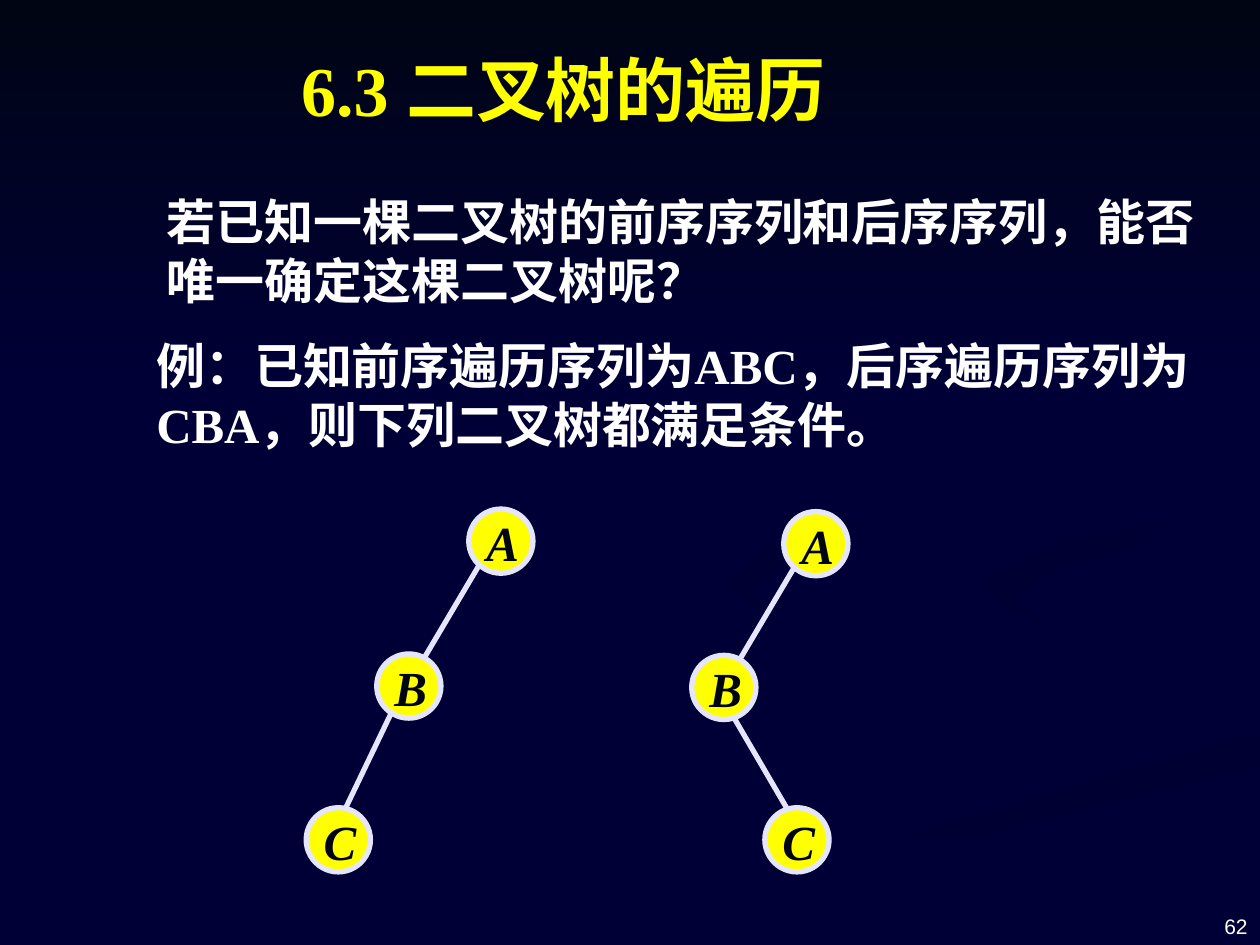
"""Build the slide on binary trees that share pre-order and post-order sequences."""
import pptx
import pptx.util
import pptx.oxml.ns
from lxml import etree
from pptx.dml.color import RGBColor
from pptx.enum.shapes import MSO_CONNECTOR, MSO_SHAPE
from pptx.enum.text import MSO_ANCHOR, PP_ALIGN

Pt = pptx.util.Pt

NAVY = RGBColor(0x00, 0x00, 0x36)
DARK_NAVY = RGBColor(0x00, 0x00, 0x32)
INK = RGBColor(0x00, 0x05, 0x14)
YELLOW = RGBColor(0xFF, 0xFF, 0x00)
LAVENDER = RGBColor(0xE5, 0xE5, 0xFF)
WHITE = RGBColor(0xFF, 0xFF, 0xFF)

SERIF, HAN, SANS = "Times New Roman", "Noto Sans CJK SC", "Arial"

RIBBONS = [
    (DARK_NAVY, NAVY, 270, [(362, 539), (411, 539), (482, 505), (565, 476), (719, 438),
                            (719, 418), (598, 453), (454, 499)]),
    (DARK_NAVY, NAVY, 315, [(562, 331), (570, 344), (595, 357), (580, 340), (607, 323),
                            (719, 302), (719, 289), (611, 307)]),
    (DARK_NAVY, NAVY, 315, [(492, 310), (594, 289), (640, 261), (634, 221), (549, 168),
                            (626, 215), (638, 251), (589, 278), (443, 309), (415, 333),
                            (448, 360), (427, 338), (449, 320)]),
    (INK, NAVY, 270, [(0, 0), (0, 222), (720, 222), (720, 0)]),
]

NODE_SIZE = 36.7
LETTERS = "ABC"
TREES = [
    {"centers": [(286.2, 309.2), (233.6, 392), (193.3, 479.9)],
     "edges": [(273.6, 323.3, 241.2, 378), (223.9, 406.8, 197.3, 462.2)]},
    {"centers": [(466.2, 310.7), (413.6, 392.8), (455.4, 479.9)],
     "edges": [(453.6, 324.7, 421.2, 379.4), (418.3, 408.2, 450.7, 463.7)]},
]

TEXTS = [
    ("62", (552, 502.5, 168, 37.5), 12, SANS, WHITE, False, PP_ALIGN.RIGHT, MSO_ANCHOR.BOTTOM),
    ("例：已知前序遍历序列为ABC，后序遍历序列为CBA，则下列二叉树都满足条件。",
     (82.2, 188, 614, 74), 28, SERIF, WHITE, True, PP_ALIGN.LEFT, MSO_ANCHOR.TOP),
    ("若已知一棵二叉树的前序序列和后序序列，能否唯一确定这棵二叉树呢？",
     (88.3, 105.8, 606.5, 74), 28, HAN, WHITE, True, PP_ALIGN.LEFT, MSO_ANCHOR.TOP),
    ("6.3 二叉树的遍历", (165, 23, 459, 55.5), 40, SERIF, YELLOW, True, PP_ALIGN.JUSTIFY, MSO_ANCHOR.TOP),
]


def style_text(frame, text, size, face, color, bold, align, anchor, italic=False):
    frame.text = text
    frame.vertical_anchor = anchor
    paragraph = frame.paragraphs[0]
    paragraph.alignment = align
    run = paragraph.runs[0]
    font = run.font
    font.size, font.name, font.bold, font.italic = Pt(size), face, bold, italic
    font.color.rgb = color
    east_asian = etree.SubElement(run._r.get_or_add_rPr(), pptx.oxml.ns.qn("a:ea"))
    east_asian.set("typeface", HAN)


def add_ribbon(slide, start, end, angle, outline):
    builder = slide.shapes.build_freeform(*outline[0], scale=Pt(1))
    builder.add_line_segments(outline[1:], close=True)
    ribbon = builder.convert_to_shape()
    ribbon.shadow.inherit = False
    ribbon.line.fill.background()
    ribbon.fill.gradient()
    ribbon.fill.gradient_angle = angle
    for stop, color in zip(ribbon.fill.gradient_stops, (start, end)):
        stop.color.rgb = color


def add_edge(slide, ends):
    edge = slide.shapes.add_connector(MSO_CONNECTOR.STRAIGHT, *map(Pt, ends))
    edge.line.color.rgb = LAVENDER
    edge.line.width = Pt(3)
    etree.SubElement(edge._element.spPr, pptx.oxml.ns.qn("a:effectLst"))


def add_node(slide, letter, x, y):
    corner = (Pt(x - NODE_SIZE / 2), Pt(y - NODE_SIZE / 2))
    node = slide.shapes.add_shape(MSO_SHAPE.OVAL, *corner, Pt(NODE_SIZE), Pt(NODE_SIZE))
    node.shadow.inherit = False
    node.fill.solid()
    node.fill.fore_color.rgb = YELLOW
    node.line.color.rgb = LAVENDER
    node.line.width = Pt(3)
    frame = node.text_frame
    frame.word_wrap = False
    frame.margin_right = frame.margin_bottom = 0
    frame.margin_left, frame.margin_top = Pt(2), Pt(1)
    style_text(frame, letter, 28, SERIF, INK, True, PP_ALIGN.CENTER, MSO_ANCHOR.MIDDLE, True)


def main():
    deck = pptx.Presentation()
    deck.slide_width, deck.slide_height = Pt(720), Pt(540)
    slide = deck.slides.add_slide(deck.slide_layouts[6])
    slide.background.fill.solid()
    slide.background.fill.fore_color.rgb = NAVY
    for ribbon in RIBBONS:
        add_ribbon(slide, *ribbon)
    for tree in TREES:
        for ends in tree["edges"]:
            add_edge(slide, ends)
        for letter, center in zip(LETTERS, tree["centers"]):
            add_node(slide, letter, *center)
    for text, place, *style in TEXTS:
        frame = slide.shapes.add_textbox(*map(Pt, place)).text_frame
        frame.word_wrap = True
        style_text(frame, text, *style)
    deck.save("out.pptx")


if __name__ == "__main__":
    main()
